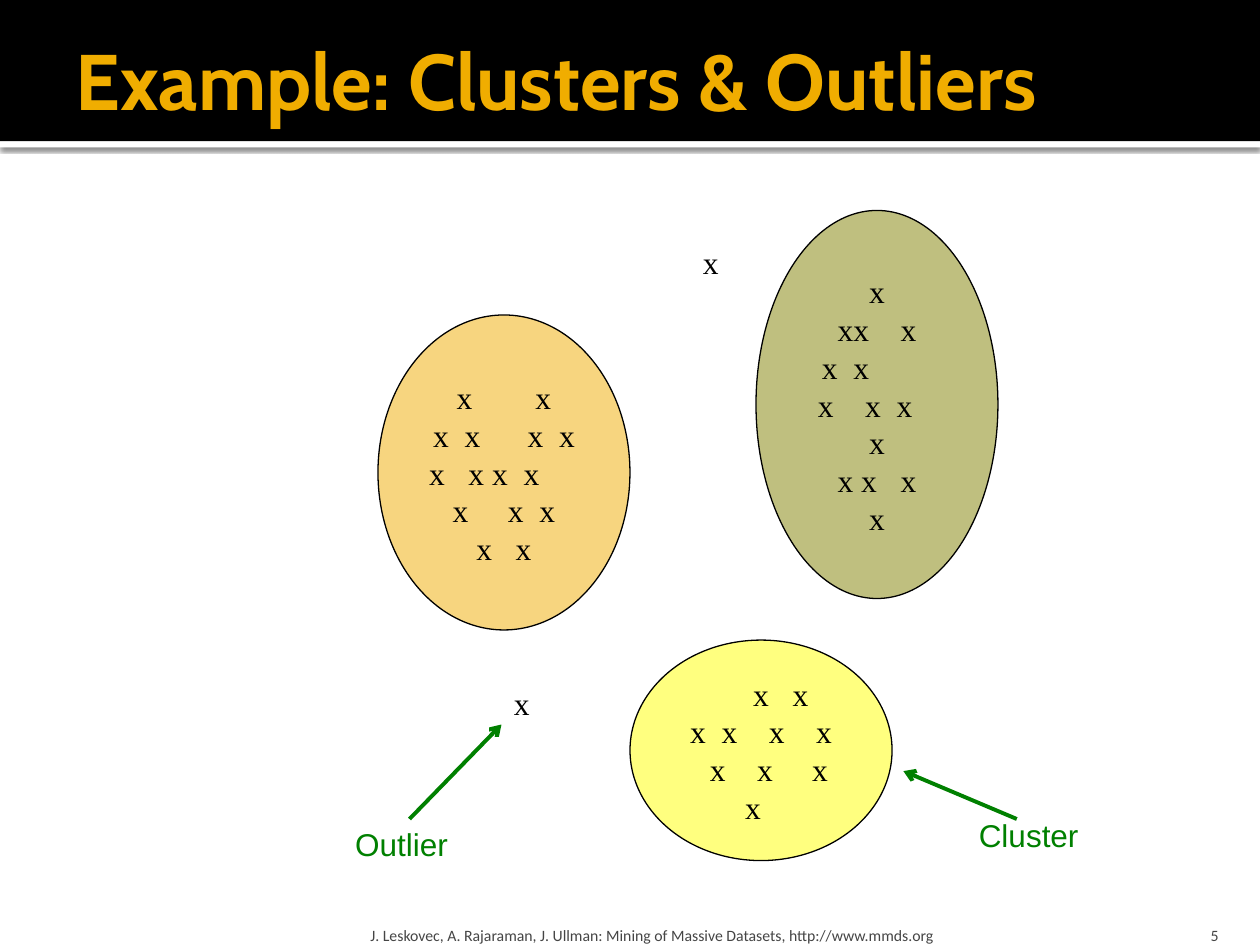
import itertools

import pptx
import pptx.dml.color
import pptx.enum.shapes
import pptx.enum.text
import pptx.oxml
import pptx.oxml.ns
import pptx.util

Inches = pptx.util.Inches
Pt = pptx.util.Pt
qn = pptx.oxml.ns.qn
Align = pptx.enum.text.PP_ALIGN
Anchor = pptx.enum.text.MSO_ANCHOR
AutoSize = pptx.enum.text.MSO_AUTO_SIZE
Shape = pptx.enum.shapes.MSO_SHAPE

NAMESPACE = pptx.oxml.ns.nsdecls("a")
MARK_SIZE = 18
HALF_LETTER = MARK_SIZE / 4
TITLE = {"name": "Cabin", "size": Pt(45), "bold": True}
FOOTER = {"name": "Calibri", "size": Pt(9)}
MARK = {"name": "Times New Roman", "size": Pt(MARK_SIZE)}
LABEL = {"name": "Arial", "size": Pt(18)}
FLOATING = {"word_wrap": False, "auto_size": AutoSize.SHAPE_TO_FIT_TEXT}

CLUSTERS = [
    ((3, 2.5, 2, 2.5), "F0AD00",
     ["x........x", "x..x......x..x", "x...x x..x.....", "x.....x..x", "x...x"]),
    ((6, 1.67, 1.92, 3.08), "808000",
     ["x", "xx....x", "x..x........", "x....x..x...", "x", "x x...x", "x"]),
    ((5, 5.08, 2.08, 1.75), "FFFF00",
     [".....x...x", "x..x....x....x", "..x....x.....x", "x.."]),
]
OUTLIERS = [(5.48, 1.88, 0.37, 0.5), (3.98, 5.38, 0.37, 0.5)]
CALLOUTS = [
    ("Outlier", (2.72, 6.5, 0.95, 0.4), (3.25, 6.5), (3.98, 5.75)),
    ("Cluster", (7.67, 6.43, 1, 0.4), (8.07, 6.5), (7.17, 6.12)),
]


def color(value):
    return pptx.dml.color.RGBColor.from_string(value)


def apply(target, values):
    for name, value in values.items():
        setattr(target, name, value)


def append_xml(parent, tag, content=""):
    element = pptx.oxml.parse_xml(f"<a:{tag} {NAMESPACE}>{content}</a:{tag.split()[0]}>")
    parent.append(element)


def add_run(paragraph, text, font, hex_color):
    run = paragraph.add_run()
    run.text = text
    apply(run.font, font)
    run.font.color.rgb = color(hex_color)


def add_text(slide, box, text, font, hex_color, frame_values, alignment=Align.LEFT):
    frame = slide.shapes.add_textbox(*map(Inches, box)).text_frame
    apply(frame, {"word_wrap": True} | frame_values)
    paragraph = frame.paragraphs[0]
    paragraph.alignment = alignment
    add_run(paragraph, text, font, hex_color)


def add_filled(slide, kind, box, fill):
    shape = slide.shapes.add_shape(kind, *map(Inches, box))
    shape.shadow.inherit = False
    shape.fill.solid()
    shape.fill.fore_color.rgb = color(fill)
    shape.line.fill.background()
    return shape


def add_header(slide, box):
    left, top, width, height = box
    stripe = add_filled(slide, Shape.RECTANGLE, (left, top + height, width, 0.05), "FFFFFF")
    append_xml(
        stripe._element.spPr.find(qn("a:effectLst")),
        f'outerShdw blurRad="{Pt(2.5)}" dist="{Pt(0.8)}" dir="5400000"',
        '<a:srgbClr val="000000"><a:alpha val="60000"/></a:srgbClr>',
    )
    add_filled(slide, Shape.RECTANGLE, box, "000000")
    add_text(slide, (left + 0.5, top + 0.17, width - 1, 0.92),
             "Example: Clusters & Outliers", TITLE, "F0AD00",
             {"vertical_anchor": Anchor.MIDDLE, "margin_right": Inches(0.05)})


def measure(marks):
    return (len(marks) + marks.count("x")) * HALF_LETTER


def add_mark_row(paragraph, row, middle):
    paragraph.alignment = Align.LEFT
    position = middle - measure(row) / 2
    stops, text = "", ""
    for is_gap, group in itertools.groupby(row, lambda symbol: symbol == "."):
        marks = "".join(group)
        if not is_gap:
            stops += f'<a:tab pos="{Pt(position)}" algn="l"/>'
            text += "\t" + marks
        position += measure(marks)
    append_xml(paragraph._p.get_or_add_pPr(), "tabLst", stops)
    add_run(paragraph, text, MARK, "000000")


def add_cluster(slide, box, fill, rows):
    ellipse = add_filled(slide, Shape.OVAL, box, fill)
    fill_color = ellipse._element.spPr.find(qn("a:solidFill"))[0]
    append_xml(fill_color, 'alpha val="50000"')
    ellipse.line.color.rgb = color("000000")
    ellipse.line.width = Pt(0.75)
    frame = ellipse.text_frame
    apply(frame, {"word_wrap": True, "vertical_anchor": Anchor.MIDDLE,
                  "margin_left": 0, "margin_right": 0})
    middle = Inches(box[2]).pt / 2 ** 0.5 / 2
    for index, row in enumerate(rows):
        paragraph = frame.add_paragraph() if index else frame.paragraphs[0]
        add_mark_row(paragraph, row, middle)


def add_callout(slide, text, box, start, end):
    arrow = slide.shapes.add_connector(
        pptx.enum.shapes.MSO_CONNECTOR.STRAIGHT, *map(Inches, start + end))
    arrow.line.color.rgb = color("008000")
    arrow.line.width = Pt(2.25)
    append_xml(arrow.line._get_or_add_ln(), 'tailEnd type="arrow"')
    append_xml(arrow._element.spPr, "effectLst")
    add_text(slide, box, text, LABEL, "008000", FLOATING)


def add_footer(slide, box):
    left, top, width, height = box
    values = {"vertical_anchor": Anchor.BOTTOM, "margin_bottom": 0}
    add_text(slide, (left + 2.89, top, 6.02, height),
             "J. Leskovec, A. Rajaraman, J. Ullman: Mining of Massive Datasets, http://www.mmds.org",
             FOOTER, "454545", values | {"margin_left": Inches(0.05)})
    add_text(slide, (left + width - 1.03, top, 0.8, height), "5",
             FOOTER, "454545", values, Align.RIGHT)


def main():
    presentation = pptx.Presentation()
    apply(presentation, {"slide_width": Inches(10), "slide_height": Inches(7.5)})
    slide = presentation.slides.add_slide(presentation.slide_layouts[6])
    add_header(slide, (0, 0, 10, 1.12))
    for box in OUTLIERS:
        add_text(slide, box, "x", MARK, "000000", FLOATING)
    for cluster in CLUSTERS:
        add_cluster(slide, *cluster)
    for callout in CALLOUTS:
        add_callout(slide, *callout)
    add_footer(slide, (0, 7.2, 10, 0.3))
    presentation.save("out.pptx")


if __name__ == "__main__":
    main()
